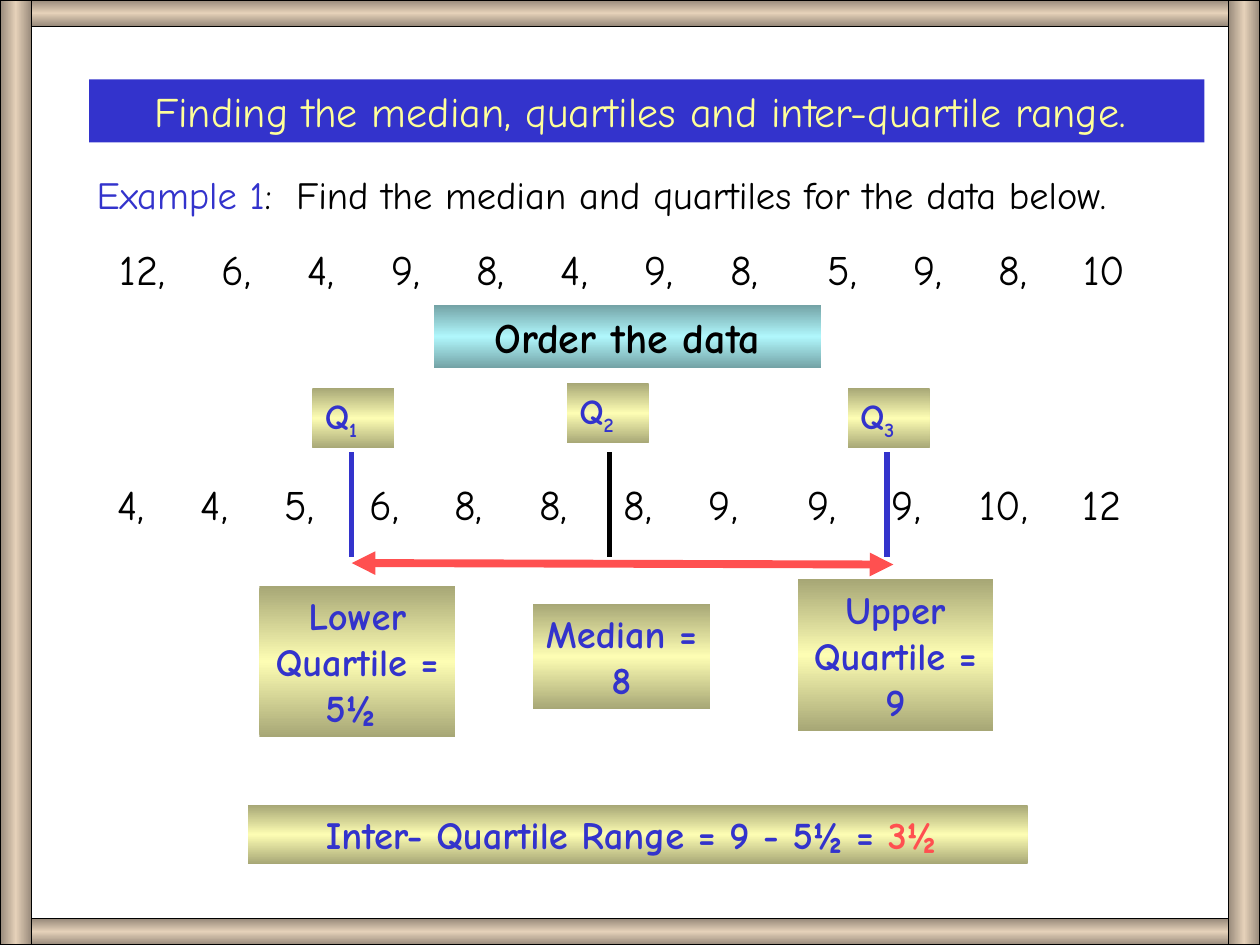
import copy
import lxml.etree
import pptx
import pptx.dml.color
import pptx.enum.shapes
import pptx.enum.text
import pptx.oxml.ns
import pptx.util

Cm = pptx.util.Cm
Pt = pptx.util.Pt
RGB = pptx.dml.color.RGBColor.from_string
qn = pptx.oxml.ns.qn
RECT = pptx.enum.shapes.MSO_SHAPE.RECTANGLE
LEFT = pptx.enum.text.PP_ALIGN.LEFT
CENTER = pptx.enum.text.PP_ALIGN.CENTER

C = {"blue": "3333CC", "pale": "FFFF99", "black": "000000", "red": "FF5050",
     "cyan": "B0F7FC", "cyan_dark": "74A3A6", "gold": "FDFDB3",
     "gold_dark": "A7A776", "wood": "E5D1B9", "wood_dark": "97897A"}

prs = pptx.Presentation()
prs.slide_width, prs.slide_height = Cm(25.4), Cm(19.05)
s = prs.slides.add_slide(prs.slide_layouts[6])


def add_box(shapes, at, runs=(), fill=None, size=22, bold=False, align=CENTER, tabs=(), angle=90):
    at = [Cm(v) for v in at]
    if fill:
        sp = shapes.add_shape(RECT, *at)
        sp.shadow.inherit = False
        sp.line.fill.background()
        if fill + "_dark" in C:
            sp.fill.gradient()
            sp.fill.gradient_angle = angle
            stops = sp._element.spPr.find(".//" + qn("a:gsLst"))
            stops.insert(1, copy.deepcopy(stops[0]))
            shades = (fill + "_dark", fill, fill + "_dark")
            for stop, pos, shade in zip(sp.fill.gradient_stops, (0, 0.5, 1), shades):
                stop.position = pos
                stop.color.rgb = RGB(C[shade])
        else:
            sp.fill.solid()
            sp.fill.fore_color.rgb = RGB(C[fill])
    else:
        sp = shapes.add_textbox(*at)
    if not runs:
        return sp
    tf = sp.text_frame
    frame = {"word_wrap": True, "vertical_anchor": pptx.enum.text.MSO_ANCHOR.TOP,
             "auto_size": pptx.enum.text.MSO_AUTO_SIZE.SHAPE_TO_FIT_TEXT}
    for name, value in frame.items():
        setattr(tf, name, value)
    p = tf.paragraphs[0]
    p.alignment = align
    if tabs:
        tab_list = lxml.etree.SubElement(p._p.get_or_add_pPr(), qn("a:tabLst"))
        for pos in tabs:
            lxml.etree.SubElement(tab_list, qn("a:tab"), pos=str(Cm(pos)), algn="l")
    for text, color, *baseline in runs:
        r = p.add_run()
        r.text = text
        for name, value in {"name": "Comic Neue", "size": Pt(size), "bold": bold}.items():
            setattr(r.font, name, value)
        r.font.color.rgb = RGB(C[color])
        if baseline:
            r._r.get_or_add_rPr().set("baseline", str(baseline[0]))
    return sp


def add_line(shapes, ends, color, width, arrows=False):
    line = shapes.add_connector(pptx.enum.shapes.MSO_CONNECTOR.STRAIGHT, *[Cm(v) for v in ends])
    line.line.color.rgb = RGB(C[color])
    line.line.width = Pt(width)
    if arrows:
        ln = line.line._get_or_add_ln()
        for end in ("a:headEnd", "a:tailEnd"):
            lxml.etree.SubElement(ln, qn(end), type="triangle")
    lxml.etree.SubElement(line._element.spPr, qn("a:effectLst"))


add_box(s.shapes, (1.8, 1.6, 22.48, 1.27),
        [("Finding the median, quartiles and inter-quartile range. ", "pale")], "blue", 24)

rows = [
    (2.16, 4.78, "12, 6, 4, 9, 8, 4, 9, 8, 5, 9, 8, 10",
     (2.06, 3.78, 5.48, 7.19, 8.9, 10.58, 12.31, 14.28, 16.01, 17.72, 19.43)),
    (2.11, 9.53, "4, 4, 5, 6, 8, 8, 8, 9, 9, 9, 10, 12",
     (1.69, 3.38, 5.09, 6.8, 8.51, 10.21, 11.93, 13.92, 15.62, 17.38, 19.47)),
]
for x, y, data, tabs in rows:
    add_box(s.shapes, (x, y, 22.23, 1.27), [(data.replace(", ", ",\t"), "black")],
            size=24, align=LEFT, tabs=tabs)

add_box(s.shapes, (8.74, 6.15, 7.82, 1.27), [("Order the data", "black")], "cyan", 24, True)
add_line(s.shapes, (7.09, 11.35, 18.01, 11.38), "red", 4.5, True)
add_box(s.shapes, (5, 16.23, 15.72, 1.19),
        [("Inter- Quartile Range = 9 - 5½ = ", "blue"), ("3½ ", "red")], "gold", bold=True)
add_box(s.shapes, (1.7, 3.33, 22.91, 1.19),
        [("Example 1", "blue"), (":\tFind the median and quartiles for the data below.", "black")],
        align=LEFT, tabs=(4.02,))

quartiles = [
    ("1", 7.09, "blue", (6.3, 7.82), "Lower Quartile = 5½ ", (5.23, 11.81, 3.94, 3.05)),
    ("3", 17.88, "blue", (17.09, 7.82), "Upper Quartile = 9", (16.08, 11.68, 3.94, 3.05)),
    ("2", 12.29, "black", (11.43, 7.72), "Median = 8", (10.74, 12.17, 3.58, 2.13)),
]
for number, x, color, label_at, text, text_at in quartiles:
    group = s.shapes.add_group_shape()
    add_line(group.shapes, (x, 9.12, x, 11.23), color, 3)
    add_box(group.shapes, text_at, [(text, "blue")], "gold", bold=True)
    add_box(group.shapes, (*label_at, 1.65, 1.22),
            [("Q", "blue"), (number, "blue", -25000)], "gold", 20, True, LEFT)

frame_sides = [((0, 0, 25.4, 0.53), 90), ((0, 18.52, 25.4, 0.53), 90),
               ((0, 0, 0.64, 19.05), 180), ((24.76, 0, 0.64, 19.05), 180)]
for at, angle in frame_sides:
    sp = add_box(s.shapes, at, fill="wood", angle=angle)
    sp.line.color.rgb = RGB(C["black"])
    sp.line.width = Pt(0.75)

prs.save("out.pptx")
